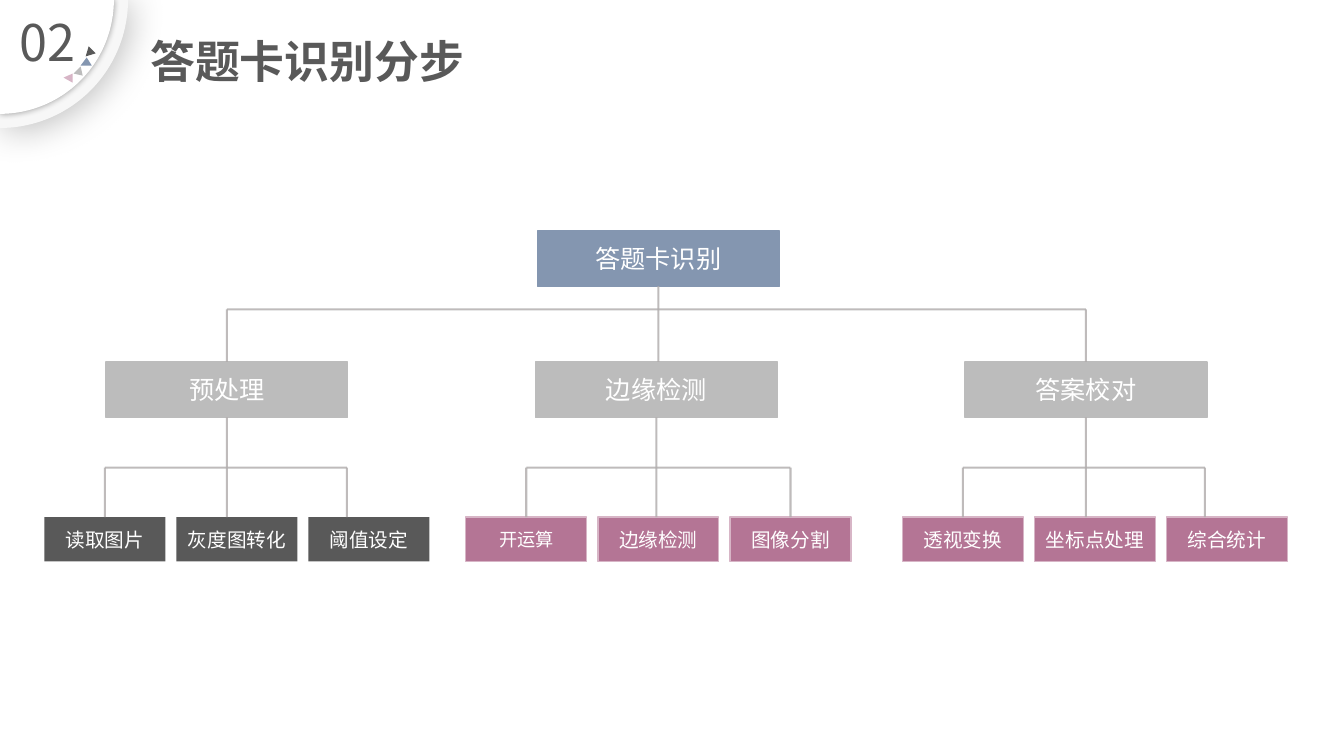
from dataclasses import dataclass
from math import cos, pi, sin

from lxml.etree import SubElement
from pptx import Presentation
from pptx.dml.color import RGBColor
from pptx.enum.shapes import MSO_CONNECTOR, MSO_SHAPE
from pptx.enum.text import MSO_ANCHOR, MSO_AUTO_SIZE, PP_ALIGN
from pptx.oxml.ns import qn
from pptx.shapes.autoshape import Shape
from pptx.slide import Slide
from pptx.util import Inches, Pt

FONT = "Noto Sans CJK SC"
DARK, BLUE, GRAY, PLUM, PINK = "595959", "8496B0", "BCBCBC", "B47595", "D7B5C6"
LINE_GRAY, WHITE = "AFABAB", "FFFFFF"

# Positions of the tree, in inches
BOX_WIDTH, BOX_HEIGHT = 2.4, 0.55
LEAF_WIDTH, LEAF_HEIGHT, LEAF_STEP = 1.2, 0.44, 1.31
ROOT_LEFT, ROOT_TOP = 5.33, 2.29
BRANCH_LEFT, BRANCH_STEP, BRANCH_TOP = 1.05, 4.26, 3.59
UPPER_BAR, LOWER_BAR, LEAF_TOP = 3.07, 4.64, 5.13

Point = tuple[float, float]


@dataclass
class Style:
    fill: str
    line: str | None
    size: float


@dataclass
class Branch:
    name: str
    leaves: tuple[str, ...]
    leaf_left: float
    drops: tuple[float, ...]
    style: Style


@dataclass
class Shadow:
    alpha: int
    blur: float
    distance: float
    angle: int


ROOT_STYLE = Style(BLUE, BLUE, 18)
BRANCH_STYLE = Style(GRAY, GRAY, 18)
DARK_LEAF = Style(DARK, None, 14)
PLUM_LEAF = Style(PLUM, PINK, 14)
LEAF_SIZES = {"开运算": 13}

BRANCHES = [
    Branch("预处理", ("读取图片", "灰度图转化", "阈值设定"), 0.44, (1.04, 2.25, 3.44), DARK_LEAF),
    Branch("边缘检测", ("开运算", "边缘检测", "图像分割"), 4.62, (5.22, 6.51, 7.84), PLUM_LEAF),
    Branch("答案校对", ("透视变换", "坐标点处理", "综合统计"), 8.95, (9.55, 10.77, 11.95), PLUM_LEAF),
]
CORNER_DISCS = [
    (1.27, "F7F7F7", Shadow(25, 26, 3, 45)),
    (1.13, WHITE, Shadow(40, 5, 0, 0)),
]
CORNER_TRIANGLES = [
    (DARK, [(0.88, 0.46), (0.95, 0.53), (0.85, 0.56)]),
    (BLUE, [(0.86, 0.57), (0.91, 0.65), (0.8, 0.65)]),
    (GRAY, [(0.8, 0.66), (0.82, 0.75), (0.73, 0.73)]),
    (PINK, [(0.72, 0.73), (0.72, 0.82), (0.63, 0.77)]),
]


def color(value: str) -> RGBColor:
    return RGBColor.from_string(value)


def write(shape: Shape, text: str, size: float, ink: str,
          align: PP_ALIGN = PP_ALIGN.CENTER, bold: bool = False) -> None:
    para = shape.text_frame.paragraphs[0]
    para.text = text
    para.alignment = align
    span = para.runs[0]
    span.font.size, span.font.bold, span.font.name = Pt(size), bold, FONT
    span.font.color.rgb = color(ink)
    SubElement(span.font._element, qn("a:ea"), typeface=FONT)


def add_box(page: Slide, text: str, left: float, top: float, width: float,
            height: float, style: Style) -> Shape:
    box = page.shapes.add_shape(MSO_SHAPE.RECTANGLE, Inches(left), Inches(top),
                                Inches(width), Inches(height))
    box.shadow.inherit = False
    box.fill.solid()
    box.fill.fore_color.rgb = color(style.fill)
    if style.line:
        box.line.color.rgb = color(style.line)
        box.line.width = Pt(1)
    else:
        box.line.fill.background()
    box.text_frame.vertical_anchor = MSO_ANCHOR.MIDDLE
    write(box, text, style.size, WHITE)
    return box


def is_middle(box: Shape, x: float) -> bool:
    return abs(box.left + box.width / 2 - Inches(x)) < Inches(0.01)


def add_line(page: Slide, start: Point, end: Point,
             above: Shape | None = None, below: Shape | None = None) -> None:
    line = page.shapes.add_connector(MSO_CONNECTOR.STRAIGHT, *map(Inches, start + end))
    if above and is_middle(above, start[0]):
        line.begin_connect(above, 2)
    if below and is_middle(below, end[0]):
        line.end_connect(below, 0)
    line.line.color.rgb = color(LINE_GRAY)
    line.line.width = Pt(1.5)
    properties = line._element.spPr
    SubElement(properties.find(".//" + qn("a:srgbClr")), qn("a:alpha"), val="80000")
    SubElement(properties, qn("a:effectLst"))


def add_polygon(page: Slide, points: list[Point], fill: str) -> Shape:
    corners = [(Inches(x), Inches(y)) for x, y in points]
    builder = page.shapes.build_freeform(*corners[0])
    builder.add_line_segments(corners[1:], close=True)
    polygon = builder.convert_to_shape()
    polygon.shadow.inherit = False
    polygon.fill.solid()
    polygon.fill.fore_color.rgb = color(fill)
    polygon.line.fill.background()
    return polygon


def add_shadow(shape: Shape, shadow: Shadow) -> None:
    effects = shape._element.spPr.find(qn("a:effectLst"))
    outer = SubElement(effects, qn("a:outerShdw"), blurRad=str(Pt(shadow.blur)),
                       dist=str(Pt(shadow.distance)), dir=str(shadow.angle * 60000),
                       algn="ctr", rotWithShape="0")
    tint = SubElement(outer, qn("a:srgbClr"), val="000000")
    SubElement(tint, qn("a:alpha"), val=str(shadow.alpha * 1000))


def draw_corner(page: Slide) -> None:
    steps = 60
    angles = [pi / 2 * step / steps for step in range(steps + 1)]
    for radius, fill, shadow in CORNER_DISCS:
        arc = [(radius * cos(angle), radius * sin(angle)) for angle in angles]
        add_shadow(add_polygon(page, [(0, 0), *arc], fill), shadow)
    for fill, points in CORNER_TRIANGLES:
        add_polygon(page, points, fill)
    number = page.shapes.add_textbox(Inches(0.04), Inches(0.06), Inches(0.87), Inches(0.71))
    number.text_frame.word_wrap = True
    write(number, "02", 36, DARK)


def draw_title(page: Slide) -> None:
    title = page.shapes.title
    title.left, title.top = Inches(1.39), Inches(0.41)
    title.width, title.height = Inches(6.18), Inches(0.52)
    title.text_frame.auto_size = MSO_AUTO_SIZE.NONE
    title.text_frame.vertical_anchor = MSO_ANCHOR.BOTTOM
    write(title, "答题卡识别分步", 32, DARK, PP_ALIGN.LEFT, bold=True)
    title.text_frame.paragraphs[0].line_spacing = 0.9


def draw_tree(page: Slide) -> None:
    # Root and the bar over the branches
    root = add_box(page, "答题卡识别", ROOT_LEFT, ROOT_TOP, BOX_WIDTH, BOX_HEIGHT, ROOT_STYLE)
    root_x = ROOT_LEFT + BOX_WIDTH / 2
    trunks = [BRANCH_LEFT + BOX_WIDTH / 2 + BRANCH_STEP * i for i in range(len(BRANCHES))]
    add_line(page, (root_x, ROOT_TOP + BOX_HEIGHT), (root_x, UPPER_BAR), above=root)
    add_line(page, (trunks[0], UPPER_BAR), (trunks[-1], UPPER_BAR))

    # Branches with their leaves
    for branch, trunk, drop in zip(BRANCHES, trunks, (trunks[0], root_x, trunks[-1])):
        box = add_box(page, branch.name, trunk - BOX_WIDTH / 2, BRANCH_TOP,
                      BOX_WIDTH, BOX_HEIGHT, BRANCH_STYLE)
        add_line(page, (drop, UPPER_BAR), (drop, BRANCH_TOP), below=box)
        add_line(page, (trunk, BRANCH_TOP + BOX_HEIGHT), (trunk, LOWER_BAR), above=box)
        add_line(page, (branch.drops[0], LOWER_BAR), (branch.drops[-1], LOWER_BAR))
        for i, (name, x) in enumerate(zip(branch.leaves, branch.drops)):
            size = LEAF_SIZES.get(name, branch.style.size)
            leaf = add_box(page, name, branch.leaf_left + LEAF_STEP * i, LEAF_TOP, LEAF_WIDTH,
                           LEAF_HEIGHT, Style(branch.style.fill, branch.style.line, size))
            add_line(page, (x, LOWER_BAR), (x, LEAF_TOP), below=leaf)


def main() -> None:
    deck = Presentation()
    deck.slide_width, deck.slide_height = Inches(13.33), Inches(7.5)
    page = deck.slides.add_slide(deck.slide_layouts[5])
    draw_corner(page)
    draw_title(page)
    draw_tree(page)
    deck.save("out.pptx")


if __name__ == "__main__":
    main()
